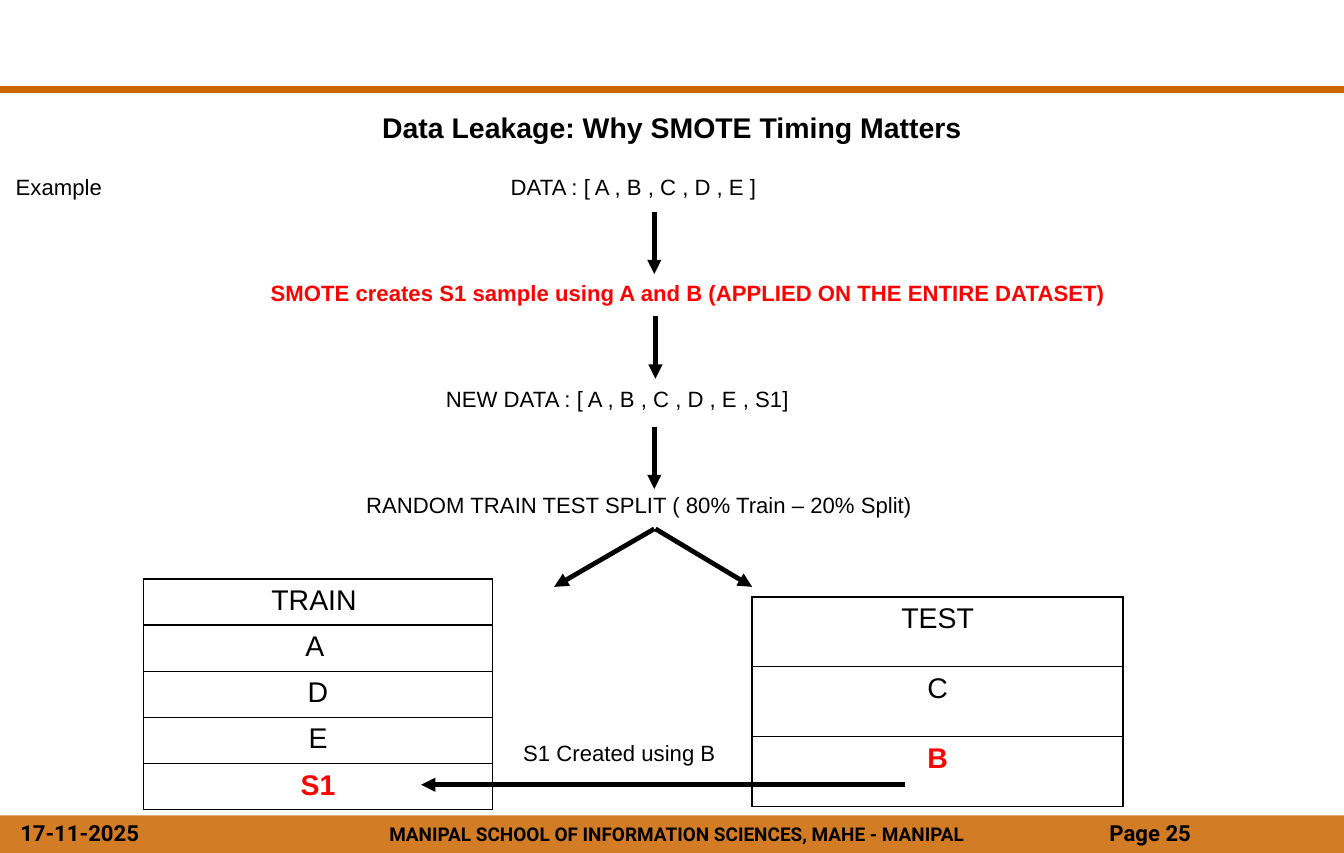
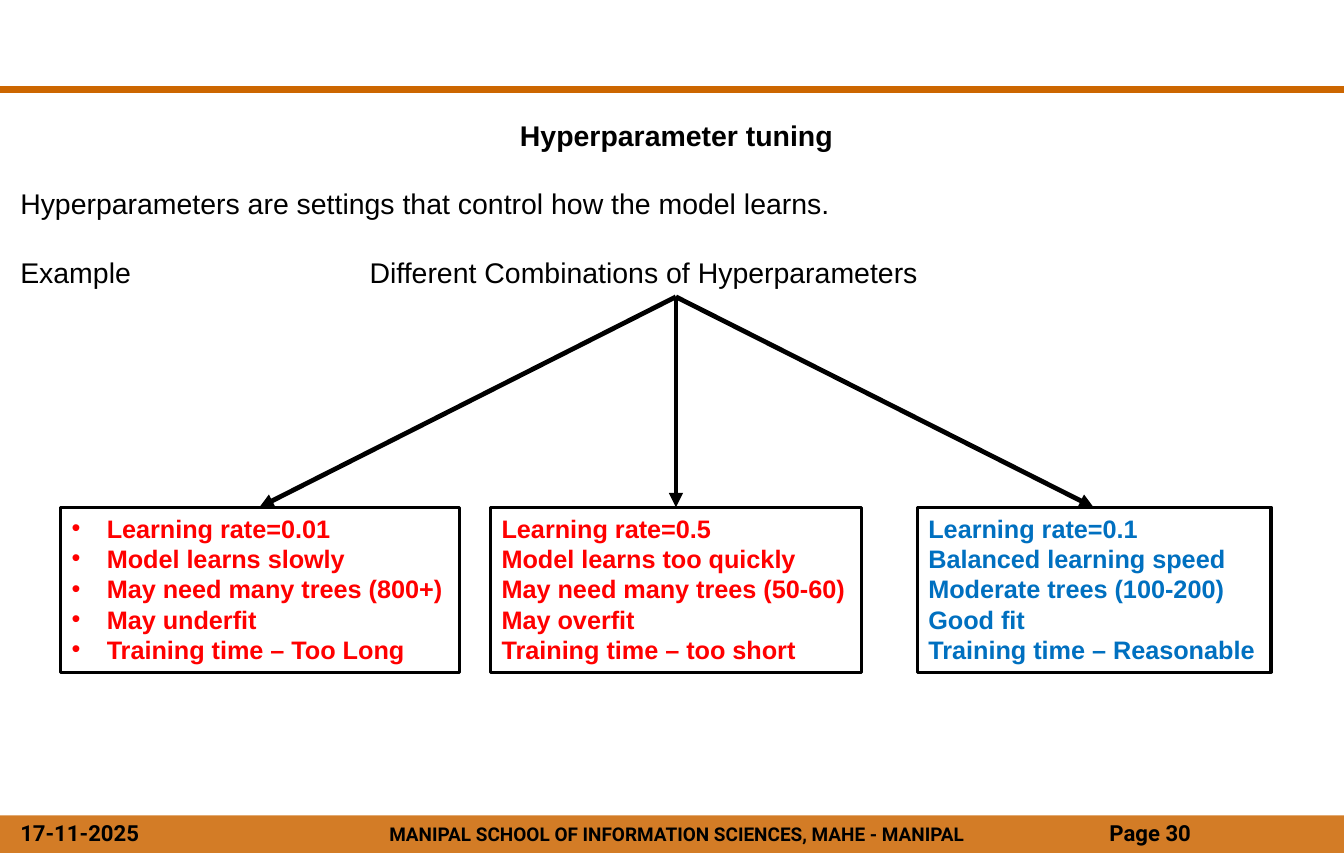
from lxml.etree import SubElement
from pptx import Presentation
from pptx.dml.color import RGBColor
from pptx.enum.shapes import MSO_CONNECTOR, MSO_SHAPE
from pptx.enum.text import MSO_ANCHOR, PP_ALIGN
from pptx.oxml.ns import qn
from pptx.util import Cm, Inches, Pt

BLACK = RGBColor(0x00, 0x00, 0x00)
WHITE = RGBColor(0xFF, 0xFF, 0xFF)
RED = RGBColor(0xFF, 0x00, 0x00)
BLUE = RGBColor(0x00, 0x70, 0xC0)
ORANGE = RGBColor(0xCC, 0x66, 0x00)
SLIDE_WIDTH, SLIDE_HEIGHT = Cm(30), Cm(19.05)
WIDTH = SLIDE_WIDTH.inches
LINE_HEIGHT = 0.34

# Content: footer
DATE = "17-11-2025"
SCHOOL = "MANIPAL SCHOOL OF INFORMATION SCIENCES, MAHE - MANIPAL"

# Content: leakage slide
STEPS = [  # left, text, colour, bold
    (4.39, "DATA : [ A , B , C , D , E ]", BLACK, False),
    (2.28, "SMOTE creates S1 sample using A and B (APPLIED ON THE ENTIRE DATASET)", RED, True),
    (3.82, "NEW DATA : [ A , B , C , D , E , S1]", BLACK, False),
    (3.12, "RANDOM TRAIN TEST SPLIT ( 80% Train – 20% Split)", BLACK, False),
]
STEP_TOP, STEP_GAP = 1.48, 0.93
SPLIT_TABLES = [  # left, top, width, height, cells (last one is highlighted)
    (1.26, 5.09, 3.07, 2.03, ["TRAIN ", "A ", "D", "E", "S1"]),
    (6.61, 5.25, 3.26, 1.84, ["TEST", "C", "B"]),
]
LEAKAGE_ARROWS = [
    (5.75, 1.86, 5.75, 2.41),
    (5.76, 2.78, 5.76, 3.33),
    (5.75, 3.75, 5.75, 4.3),
    (5.75, 4.65, 4.87, 5.16),
    (5.76, 4.65, 6.61, 5.16),
    (7.95, 6.9, 3.7, 6.9),
]

# Content: tuning slide
INTRO = [  # left, row, text
    (0.08, 1, "Hyperparameters are settings that control how the model learns."),
    (0.08, 2, "Example"),
    (3.15, 2, "Different Combinations of Hyperparameters"),
]
INTRO_TOP, INTRO_GAP = 0.99, 0.6
COMBINATIONS = [  # left, width, arrow end, colour, bulleted, lines
    (0.53, 3.51, 2.28, RED, True,
     ["Learning rate=0.01", "Model learns slowly", "May need many trees (800+)",
      "May underfit", "Training time – Too Long"]),
    (4.31, 3.26, 5.94, RED, False,
     ["Learning rate=0.5", "Model learns too quickly", "May need many trees (50-60)",
      "May overfit", "Training time – too short"]),
    (8.06, 3.11, 9.61, BLUE, False,
     ["Learning rate=0.1", "Balanced learning speed", "Moderate trees (100-200)",
      "Good fit", "Training time – Reasonable"]),
]
FAN_START = (5.94, 2.61)
BOX_TOP, BOX_HEIGHT = 4.46, 1.45


def style(paragraph, size, color=BLACK, bold=False, align=PP_ALIGN.LEFT, font="Arial"):
    paragraph.alignment = align
    for run in paragraph.runs:
        run.font.name, run.font.size = font, Pt(size)
        run.font.bold, run.font.color.rgb = bold, color


def add_text(slide, left, top, width, text, size, **look):
    box = slide.shapes.add_textbox(Inches(left), Inches(top), Inches(width), Inches(LINE_HEIGHT))
    box.text_frame.word_wrap = True
    box.text_frame.text = text
    style(box.text_frame.paragraphs[0], size, **look)


def add_rectangle(slide, left, top, width, height, fill):
    shape = slide.shapes.add_shape(MSO_SHAPE.RECTANGLE, Inches(left), Inches(top),
                                   Inches(width), Inches(height))
    shape.shadow.inherit = False
    shape.fill.solid()
    shape.fill.fore_color.rgb = fill
    return shape


def add_line(slide, x1, y1, x2, y2, color=BLACK, weight=3, arrow=True):
    line = slide.shapes.add_connector(MSO_CONNECTOR.STRAIGHT, Inches(x1), Inches(y1),
                                      Inches(x2), Inches(y2))
    line.line.color.rgb = color
    line.line.width = Pt(weight)
    properties = line._element.spPr
    if arrow:
        SubElement(properties.find(qn("a:ln")), qn("a:tailEnd"), type="triangle")
    SubElement(properties, qn("a:effectLst"))


def add_column_table(slide, left, top, width, height, cells):
    frame = slide.shapes.add_table(len(cells), 1, Inches(left), Inches(top),
                                   Inches(width), Inches(height))
    table = frame.table
    table.first_row = table.horz_banding = False
    for row, text in enumerate(cells):
        cell = table.cell(row, 0)
        cell.text = text
        last = row == len(cells) - 1
        style(cell.text_frame.paragraphs[0], 18, RED if last else BLACK, last, PP_ALIGN.CENTER)
        properties = cell._tc.get_or_add_tcPr()
        for side in ("a:lnL", "a:lnR", "a:lnT", "a:lnB"):
            border = SubElement(properties, qn(side), w=str(Pt(1)))
            SubElement(SubElement(border, qn("a:solidFill")), qn("a:srgbClr"), val=str(BLACK))
        cell.fill.background()


def add_combination(slide, left, width, color, bulleted, lines):
    box = add_rectangle(slide, left, BOX_TOP, width, BOX_HEIGHT, WHITE)
    box.line.color.rgb = BLACK
    box.line.width = Pt(2)
    frame = box.text_frame
    frame.word_wrap = True
    frame.vertical_anchor = MSO_ANCHOR.TOP
    frame.text = "\n".join(lines)
    for paragraph in frame.paragraphs:
        if bulleted:
            properties = paragraph._p.get_or_add_pPr()
            properties.set("marL", str(Inches(0.31)))
            properties.set("indent", str(-Inches(0.31)))
            SubElement(properties, qn("a:buFont"), typeface="Arial")
            SubElement(properties, qn("a:buChar"), char="•")
        style(paragraph, 16, color, True)


def add_base_slide(presentation, page, title, left, top):
    """Blank slide with the top rule, footer band and title."""
    slide = presentation.slides.add_slide(presentation.slide_layouts[6])
    add_line(slide, 0, 0.79, 11.84, 0.79, ORANGE, 4.5, arrow=False)
    band = add_rectangle(slide, 0, 7.17, WIDTH, 0.33, ORANGE)
    band.line.fill.background()
    color = band._element.spPr.find(qn("a:solidFill"))[0]
    SubElement(color, qn("a:alpha"), val="85000")
    add_text(slide, 2.85, 7.18, 6.2, SCHOOL, 12, bold=True, align=PP_ALIGN.CENTER, font="Roboto")
    for x, width, text in ((0.08, 1.33, DATE), (9.65, 2.15, f"Page {page}")):
        add_text(slide, x, 7.16, width, text, 14, bold=True, font="Roboto")
    add_text(slide, left, top, 11.73, title, 18, bold=True, align=PP_ALIGN.CENTER)
    return slide


def build_leakage(presentation):
    slide = add_base_slide(presentation, 25, "Data Leakage: Why SMOTE Timing Matters", 0.04, 0.92)
    add_text(slide, 0.04, STEP_TOP, 1.5, "Example", 14)
    for row, (left, text, color, bold) in enumerate(STEPS):
        add_text(slide, left, STEP_TOP + row * STEP_GAP, 7.6, text, 14, color=color, bold=bold)
    for split_table in SPLIT_TABLES:
        add_column_table(slide, *split_table)
    for arrow in LEAKAGE_ARROWS:
        add_line(slide, *arrow)
    add_text(slide, 4.5, 6.45, 2, "S1 Created using B", 14)


def build_tuning(presentation):
    slide = add_base_slide(presentation, 30, "Hyperparameter tuning", 0.08, INTRO_TOP)
    for left, row, text in INTRO:
        add_text(slide, left, INTRO_TOP + row * INTRO_GAP, 8, text, 18)
    for left, width, arrow_end, color, bulleted, lines in COMBINATIONS:
        add_combination(slide, left, width, color, bulleted, lines)
        add_line(slide, *FAN_START, arrow_end, BOX_TOP)


def main():
    presentation = Presentation()
    presentation.slide_width, presentation.slide_height = SLIDE_WIDTH, SLIDE_HEIGHT
    build_leakage(presentation)
    build_tuning(presentation)
    presentation.save("out.pptx")


if __name__ == "__main__":
    main()
